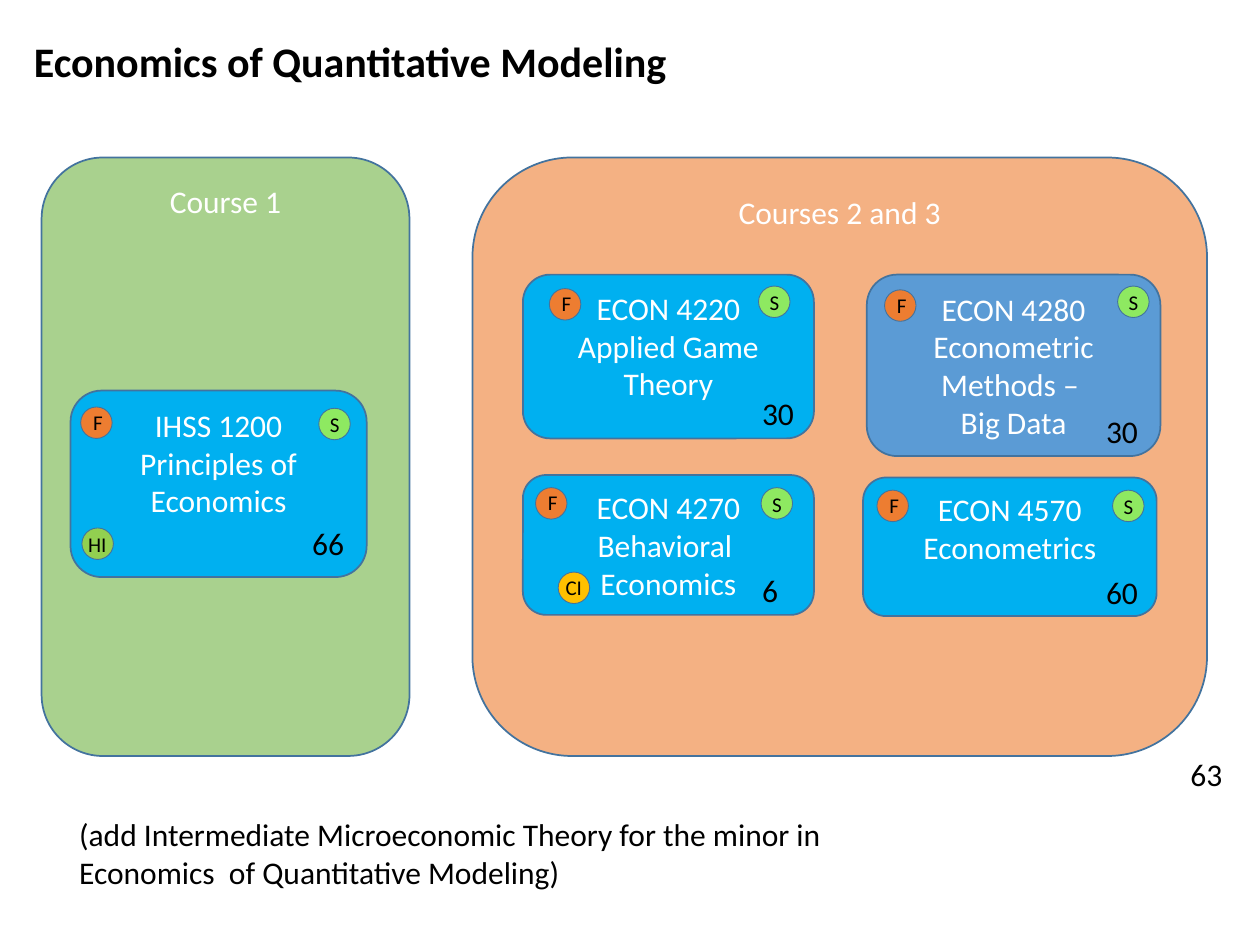
from dataclasses import dataclass

from pptx import Presentation
from pptx import util as u
from pptx.dml.color import RGBColor
from pptx.enum import shapes, text


@dataclass(frozen=True)
class Theme:
    font: str = "Calibri"
    title: int = 24
    body: int = 18
    small: int = 12
    black: str = "000000"
    white: str = "FFFFFF"
    outline: str = "43739E"
    green: str = "A9D18E"
    peach: str = "F4B183"
    cyan: str = "00B0F0"
    blue: str = "5B9BD5"


@dataclass(frozen=True)
class BadgeStyle:
    fill: str
    width: float
    shift: tuple[float, float]  # label position relative to the disc


@dataclass(frozen=True)
class Badge:
    label: str
    left: float
    top: float


@dataclass(frozen=True)
class Panel:
    box: tuple[float, float, float, float]
    fill: str
    lines: tuple[str, ...]


@dataclass(frozen=True)
class Course:
    panel: Panel
    seats: str
    seats_at: tuple[float, float]
    badges: tuple[Badge, ...]


THEME = Theme()
DISC = 0.25
BADGE_STYLES = {
    "F": BadgeStyle("ED7D31", 0.28, (0, -0.03)),
    "S": BadgeStyle("8EE961", 0.28, (-0.01, -0.02)),
    "HI": BadgeStyle("92D050", 0.35, (-0.05, -0.02)),
    "CI": BadgeStyle("FFC000", 0.33, (-0.04, -0.03)),
}

PANELS = (
    Panel((0.33, 1.25, 2.92, 4.75), THEME.green, ("Course 1",)),
    Panel((3.75, 1.25, 5.83, 4.75), THEME.peach, ("Courses 2 and 3",)),
)

COURSES = (
    Course(
        Panel((0.56, 3.1, 2.35, 1.48), THEME.cyan, ("IHSS 1200", "Principles of Economics")),
        "66", (2.38, 4.11),
        (Badge("F", 0.64, 3.23), Badge("S", 2.53, 3.24), Badge("HI", 0.65, 4.19)),
    ),
    Course(
        Panel((4.15, 2.18, 2.31, 1.3), THEME.cyan, ("ECON 4220", "Applied Game Theory")),
        "30", (5.95, 3.08),
        (Badge("F", 4.36, 2.29), Badge("S", 6.02, 2.27)),
    ),
    Course(
        Panel((6.88, 2.18, 2.33, 1.44), THEME.blue,
              ("ECON 4280", "Econometric Methods – ", "Big Data")),
        "30", (8.68, 3.22),
        (Badge("F", 7.02, 2.3), Badge("S", 8.87, 2.27)),
    ),
    Course(
        Panel((4.15, 3.77, 2.31, 1.11), THEME.cyan, ("ECON 4270", "Behavioral  Economics")),
        "6", (5.95, 4.48),
        (Badge("F", 4.25, 3.87), Badge("S", 6.04, 3.87), Badge("CI", 4.43, 4.54)),
    ),
    Course(
        Panel((6.85, 3.79, 2.33, 1.1), THEME.cyan, ("ECON 4570", "Econometrics")),
        "60", (8.68, 4.5),
        (Badge("F", 6.96, 3.89), Badge("S", 8.83, 3.89)),
    ),
)


def write(frame, lines: tuple[str, ...], size: int, color: str, align=None, bold=None) -> None:
    """Fill a text frame with one paragraph per line."""
    font_format = {"name": THEME.font, "size": u.Pt(size), "bold": bold}
    for index, line in enumerate(lines):
        para = frame.add_paragraph() if index else frame.paragraphs[0]
        para.alignment = align
        span = para.add_run()
        span.text = line
        for name, value in font_format.items():
            setattr(span.font, name, value)
        span.font.color.rgb = RGBColor.from_string(color)


def add_filled(parent, kind, box: tuple[float, ...], fill: str, line_width: float):
    shape = parent.add_shape(kind, *map(u.Inches, box))
    shape.shadow.inherit = False
    shape.fill.solid()
    shape.fill.fore_color.rgb = RGBColor.from_string(fill)
    shape.line.color.rgb = RGBColor.from_string(THEME.outline)
    shape.line.width = u.Pt(line_width)
    return shape


def add_label(parent, box: tuple[float, ...], words: str, size: int, wrap=False, bold=None) -> None:
    frame = parent.add_textbox(*map(u.Inches, box)).text_frame
    write(frame, (words,), size, THEME.black, bold=bold)
    frame.word_wrap = wrap
    frame.auto_size = text.MSO_AUTO_SIZE.SHAPE_TO_FIT_TEXT


def add_panel(page, panel: Panel) -> None:
    shape = add_filled(page.shapes, shapes.MSO_SHAPE.ROUNDED_RECTANGLE, panel.box, panel.fill, 1)
    shape.text_frame.vertical_anchor = text.MSO_ANCHOR.TOP
    write(shape.text_frame, panel.lines, THEME.body, THEME.white, text.PP_ALIGN.CENTER)


def add_badge(page, badge: Badge) -> None:
    style = BADGE_STYLES[badge.label]
    group = page.shapes.add_group_shape().shapes
    add_filled(group, shapes.MSO_SHAPE.OVAL, (badge.left, badge.top, DISC, DISC), style.fill, 0.5)
    across, down = style.shift
    add_label(group, (badge.left + across, badge.top + down, style.width, 0.3),
              badge.label, THEME.small)


def add_count(page, count: str, left: float, top: float) -> None:
    width = 0.2 + 0.13 * len(count)
    add_label(page.shapes, (left, top, width, 0.4), count, THEME.body)


def add_course(page, course: Course) -> None:
    add_panel(page, course.panel)
    for badge in course.badges:
        add_badge(page, badge)
    add_count(page, course.seats, *course.seats_at)


def main() -> None:
    deck = Presentation()
    deck.slide_width, deck.slide_height = u.Inches(10), u.Inches(7.5)
    page = deck.slides.add_slide(deck.slide_layouts[6])

    # Title
    add_label(page.shapes, (0.17, 0.23, 5.92, 0.5), "Economics of Quantitative Modeling",
              THEME.title, wrap=True, bold=True)

    # Panels, then the courses inside them
    for panel in PANELS:
        add_panel(page, panel)
    for course in COURSES:
        add_course(page, course)

    # Total and footnote
    add_count(page, "63", 9.35, 5.94)
    add_label(page.shapes, (0.53, 6.42, 6.83, 0.71),
              "(add Intermediate Microeconomic Theory for the minor in "
              "Economics  of Quantitative Modeling)", THEME.body, wrap=True)

    deck.save("out.pptx")


if __name__ == "__main__":
    main()
